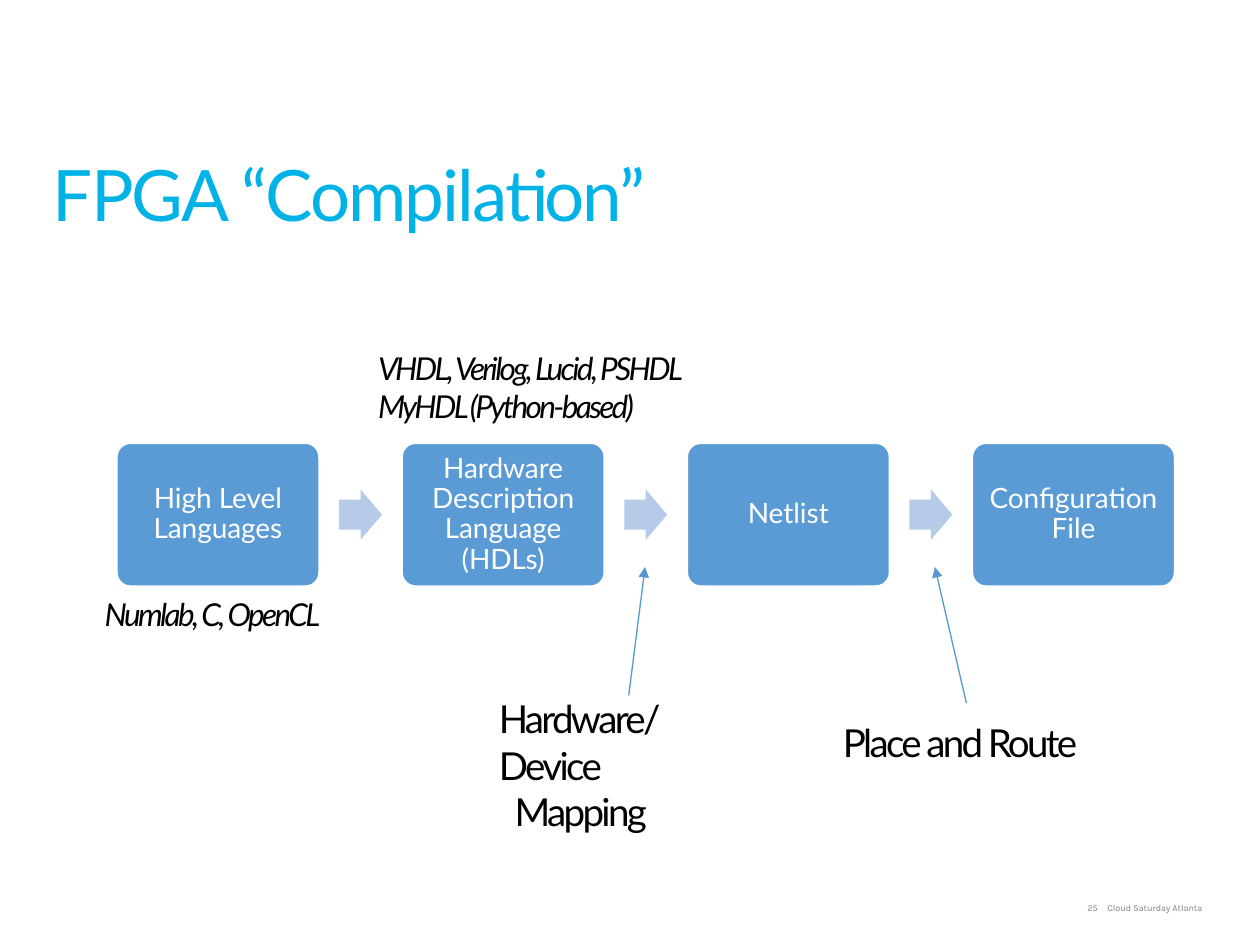
from dataclasses import dataclass

from lxml import etree
from pptx import Presentation
from pptx.dml.color import RGBColor
from pptx.enum.shapes import MSO_CONNECTOR, MSO_SHAPE
from pptx.enum.text import MSO_ANCHOR, PP_ALIGN
from pptx.oxml.ns import qn
from pptx.util import Inches, Pt

ROUNDED = MSO_SHAPE.ROUNDED_RECTANGLE
ARROW = MSO_SHAPE.RIGHT_ARROW
STRAIGHT = MSO_CONNECTOR.STRAIGHT
MIDDLE = MSO_ANCHOR.MIDDLE
LEFT, CENTER = PP_ALIGN.LEFT, PP_ALIGN.CENTER


@dataclass(frozen=True)
class Theme:
    font: str = "Lato"
    footer_font: str = "Karla"
    title: str = "00B2E6"
    step: str = "5B9BD5"
    arrow: str = "B5CBE7"
    pointer: str = "5698D3"
    ink: str = "000000"
    white: str = "FFFFFF"
    gray: str = "808080"
    title_size: float = 40.5
    step_size: float = 16
    example_size: float = 18
    stage_size: float = 22
    footer_size: float = 5.2


THEME = Theme()
STEPS = ["High Level Languages", "Hardware Description Language (HDLs)",
         "Netlist", "Configuration File"]


def color(value):
    return RGBColor.from_string(value)


def write(frame, lines, size, ink, font=THEME.font, italic=False,
          spacing=0, aligns=(LEFT,), inset=0):
    """Fill a text frame; spacing is the letter spacing in points."""
    frame.word_wrap = True
    frame.margin_left = frame.margin_right = Inches(inset)
    frame.margin_top = frame.margin_bottom = Inches(inset)
    frame.text = "\n".join(lines)
    for index, para in enumerate(frame.paragraphs):
        para.alignment = aligns[min(index, len(aligns) - 1)]
        for span in para.runs:
            span.font.name = font
            span.font.size = Pt(size)
            span.font.color.rgb = color(ink)
            span.font.italic = italic
            if spacing:
                span.font._element.set("spc", str(round(spacing * 100)))


def add_text(page, box, lines, size, ink, **style):
    shape = page.shapes.add_textbox(*map(Inches, box))
    write(shape.text_frame, lines, size, ink, **style)
    return shape.text_frame


def add_title(page, box):
    frame = add_text(page, box, ["FPGA “Compilation”"], THEME.title_size,
                     THEME.title, spacing=-1.1)
    frame.paragraphs[0].line_spacing = 0.9


def add_block(page, kind, box, fill):
    block = page.shapes.add_shape(kind, *map(Inches, box))
    block.shadow.inherit = False
    block.fill.solid()
    block.fill.fore_color.rgb = color(fill)
    block.line.fill.background()
    return block


def add_step(page, box, label):
    step = add_block(page, ROUNDED, box, THEME.step)
    step.adjustments[0] = 0.1
    step.line.color.rgb = color(THEME.white)
    step.line.width = Pt(2)
    frame = step.text_frame
    frame.vertical_anchor = MIDDLE
    write(frame, [label], THEME.step_size, THEME.white,
          aligns=(CENTER,), inset=0.1)
    frame.paragraphs[0].line_spacing = 0.9


def add_flow(page, box):
    """Spread the steps evenly over the box, with an arrow in each gap."""
    left, top, width, height = box
    step_width, arrow_width, arrow_height = 1.62, 0.34, 0.4
    pitch = (width - step_width) / (len(STEPS) - 1)
    for index, label in enumerate(STEPS):
        x = left + index * pitch
        add_step(page, (x, top, step_width, height), label)
        if index < len(STEPS) - 1:
            arrow_left = x + (step_width + pitch - arrow_width) / 2
            arrow_top = top + (height - arrow_height) / 2
            arrow = add_block(page, ARROW, (arrow_left, arrow_top, arrow_width,
                                            arrow_height), THEME.arrow)
            arrow.adjustments[0] = 0.6
            arrow.adjustments[1] = 0.5


def add_examples(page, box, lines):
    add_text(page, box, lines, THEME.example_size, THEME.ink,
             italic=True, spacing=-1.5)


def add_stage(page, box, lines, start, end):
    """Name a stage and point from its name to the matching flow arrow."""
    add_text(page, box, lines, THEME.stage_size, THEME.ink,
             spacing=-1.5, aligns=(LEFT, CENTER))
    pointer = page.shapes.add_connector(STRAIGHT, *map(Inches, start + end))
    pointer.line.color.rgb = color(THEME.pointer)
    pointer.line.width = Pt(0.75)
    etree.SubElement(pointer.line._get_or_add_ln(), qn("a:tailEnd"),
                     type="triangle")
    etree.SubElement(pointer._element.spPr, qn("a:effectLst"))


def add_footer(page, box):
    frame = add_text(page, box, ["25\tCloud Saturday Atlanta"],
                     THEME.footer_size, THEME.gray,
                     font=THEME.footer_font, inset=0.05)
    props = frame.paragraphs[0]._p.get_or_add_pPr()
    tabs = etree.SubElement(props, qn("a:tabLst"))
    etree.SubElement(tabs, qn("a:tab"), pos=str(Inches(0.16)), algn="l")


def main():
    deck = Presentation()
    deck.slide_width, deck.slide_height = Inches(10), Inches(7.5)
    page = deck.slides.add_slide(deck.slide_layouts[6])
    add_footer(page, (8.58, 7.11, 1.2, 0.19))
    add_title(page, (0.42, 1.27, 9.15, 0.61))
    add_flow(page, (0.92, 3.51, 8.41, 1.15))
    add_examples(page, (0.83, 4.72, 2.75, 0.3), ["Numlab, C, OpenCL"])
    add_examples(page, (3, 2.77, 2.75, 0.61),
                 ["VHDL, Verilog, Lucid, PSHDL", "MyHDL (Python-based)"])
    add_stage(page, (3.96, 5.52, 1.3, 1.1), ["Hardware/Device", "Mapping"],
              (4.99, 5.52), (5.12, 4.5))
    add_stage(page, (6.69, 5.71, 1.97, 0.37), ["Place and Route"],
              (7.67, 5.58), (7.42, 4.5))
    deck.save("out.pptx")


if __name__ == "__main__":
    main()
